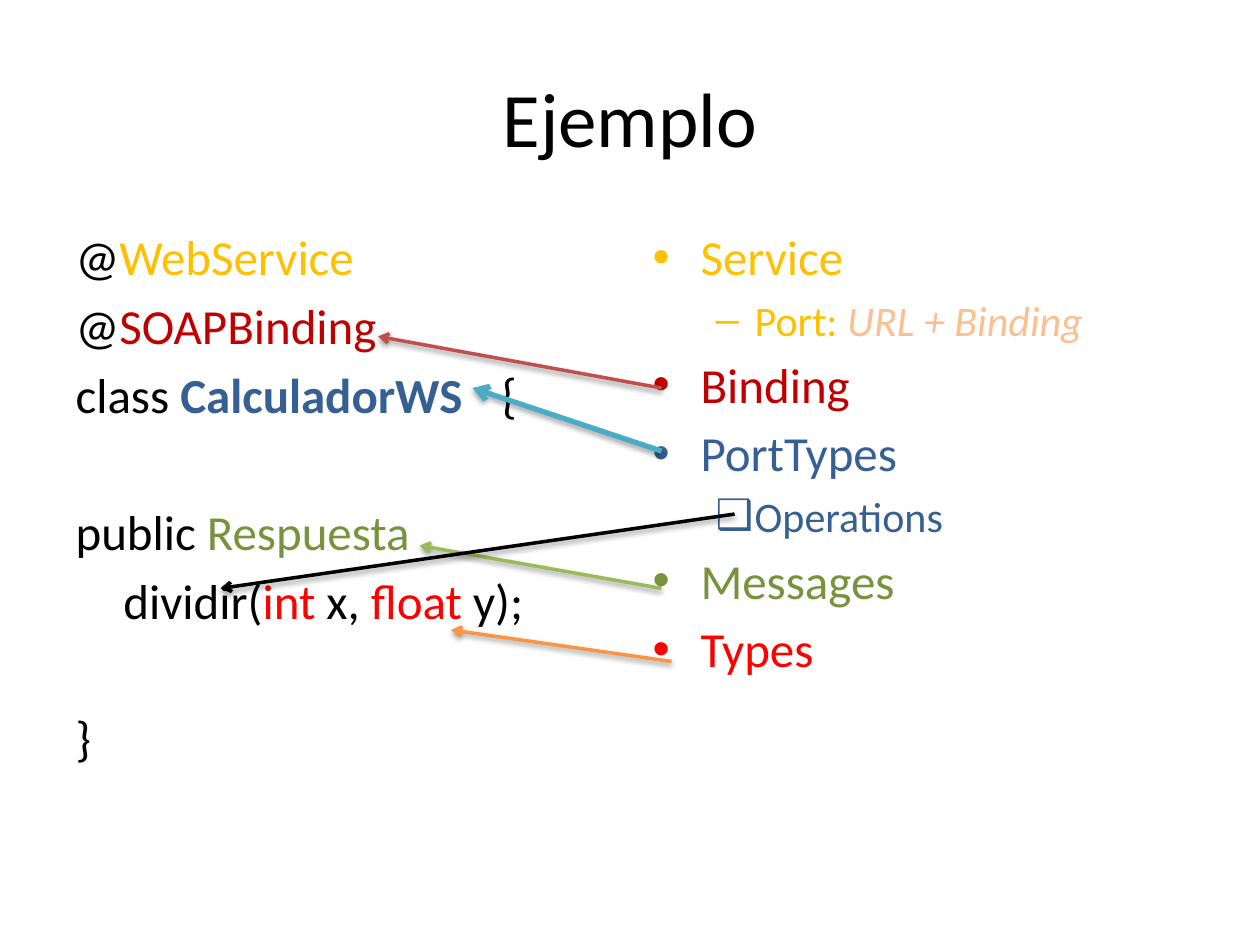
"""Build the slide that maps annotated code to the parts of a service description."""
from lxml import etree
from pptx import Presentation
from pptx.dml.color import RGBColor
from pptx.enum.shapes import MSO_CONNECTOR
from pptx.enum.text import MSO_ANCHOR, MSO_AUTO_SIZE, PP_ALIGN
from pptx.oxml import parse_xml
from pptx.oxml.ns import nsdecls, qn
from pptx.util import Inches, Pt

STRAIGHT = MSO_CONNECTOR.STRAIGHT
MIDDLE, TOP = MSO_ANCHOR.MIDDLE, MSO_ANCHOR.TOP
CENTER, LEFT = PP_ALIGN.CENTER, PP_ALIGN.LEFT
NO_AUTOFIT = MSO_AUTO_SIZE.NONE

BLACK = RGBColor(0x00, 0x00, 0x00)
GOLD = RGBColor(0xFF, 0xC0, 0x00)
PEACH = RGBColor(0xFA, 0xC0, 0x90)
CRIMSON = RGBColor(0xC0, 0x00, 0x00)
NAVY = RGBColor(0x37, 0x60, 0x92)
OLIVE = RGBColor(0x77, 0x93, 0x3C)
RED = RGBColor(0xFF, 0x00, 0x00)
ORANGE = RGBColor(0xF7, 0x96, 0x46)
GREEN = RGBColor(0x9B, 0xBB, 0x59)
AQUA = RGBColor(0x4B, 0xAC, 0xC6)
ROSE = RGBColor(0xC0, 0x50, 0x4D)


class MappingSlide:
    """Holds the text style and the slide, and adds its elements."""

    font = "Calibri"
    title_size = 44
    sizes = (28, 24)
    hanging = ((0.38, -0.38), (0.81, -0.31))
    skipped_line = 45

    def __init__(self, deck):
        self.slide = deck.slides.add_slide(deck.slide_layouts[3])

    def place(self, index, box, anchor):
        holder = self.slide.placeholders[index]
        holder.left, holder.top, holder.width, holder.height = map(Inches, box)
        frame = holder.text_frame
        frame.word_wrap = True
        frame.auto_size = NO_AUTOFIT
        frame.vertical_anchor = anchor
        return frame

    def add_run(self, paragraph, text, color, size, bold=False, italic=False):
        run = paragraph.add_run()
        run.text = text
        run.font.name = self.font
        run.font.size = Pt(size)
        run.font.color.rgb = color
        run.font.bold = bold
        run.font.italic = italic

    def title(self, text, box):
        paragraph = self.place(0, box, MIDDLE).paragraphs[0]
        paragraph.alignment = CENTER
        self.add_run(paragraph, text, BLACK, self.title_size)

    def body(self, index, box, lines):
        frame = self.place(index, box, TOP)
        for number, line in enumerate(lines):
            paragraph = frame.add_paragraph() if number else frame.paragraphs[0]
            self.fill_line(paragraph, **line)

    def fill_line(self, paragraph, runs, level=0, bullet=None, hang=True,
                  after_gap=False, tab=None):
        paragraph.level = level
        paragraph.alignment = LEFT
        if after_gap:
            paragraph.space_before = Pt(self.skipped_line)
        margin, indent = self.hanging[level]
        properties = paragraph._p.get_or_add_pPr()
        properties.set("marL", str(Inches(margin)))
        properties.set("indent", str(Inches(indent if hang else 0)))
        if bullet:
            etree.SubElement(properties, qn("a:buChar"), char=bullet)
        else:
            etree.SubElement(properties, qn("a:buNone"))
        if tab:
            stops = etree.SubElement(properties, qn("a:tabLst"))
            etree.SubElement(stops, qn("a:tab"), pos=str(Inches(tab)), algn="l")
        for text, color, *style in runs:
            self.add_run(paragraph, text, color, self.sizes[level], *style)

    def arrow(self, start, end, color, width=2, shadow_distance=20000, opacity=38):
        link = self.slide.shapes.add_connector(STRAIGHT, *map(Inches, start + end))
        link.line.width = Pt(width)
        link.line.color.rgb = color
        outline = link._element.spPr
        etree.SubElement(outline.find(qn("a:ln")), qn("a:tailEnd"), type="arrow")
        outline.append(parse_xml(
            f'<a:effectLst {nsdecls("a")}><a:outerShdw blurRad="40000" '
            f'dist="{shadow_distance}" dir="5400000" rotWithShape="0">'
            f'<a:srgbClr val="000000"><a:alpha val="{opacity * 1000}"/></a:srgbClr>'
            '</a:outerShdw></a:effectLst>'))


CODE = [
    dict(runs=[("@", BLACK), ("WebService", GOLD)]),
    dict(runs=[("@", BLACK), ("SOAPBinding", CRIMSON)]),
    dict(runs=[("class ", BLACK), ("CalculadorWS", NAVY, True), ("\t{", BLACK)], tab=3.4),
    dict(runs=[("public ", BLACK), ("Respuesta", OLIVE)], after_gap=True),
    dict(runs=[("dividir(", BLACK), ("int", RED), (" x, ", BLACK),
               ("float", RED), (" y);", BLACK)], hang=False),
    dict(runs=[("}", BLACK)], after_gap=True),
]
CONCEPTS = [
    dict(runs=[("Service", GOLD)], bullet="•"),
    dict(runs=[("Port: ", GOLD), ("URL + Binding", PEACH, False, True)],
         level=1, bullet="–"),
    dict(runs=[("Binding", CRIMSON)], bullet="•"),
    dict(runs=[("PortTypes", NAVY)], bullet="•"),
    dict(runs=[("Operations", NAVY)], level=1, bullet="❑"),
    dict(runs=[("Messages", OLIVE)], bullet="•"),
    dict(runs=[("Types", RED)], bullet="•"),
]

deck = Presentation()
deck.slide_width, deck.slide_height = Inches(10), Inches(7.5)

example = MappingSlide(deck)
example.title("Ejemplo", (0.5, 0.3, 9, 1.25))
example.body(1, (0.5, 1.75, 4.42, 4.95), CODE)
example.body(2, (5.08, 1.75, 4.42, 4.95), CONCEPTS)
example.arrow((5.33, 5.25), (3.58, 5), ORANGE)
example.arrow((5.25, 4.67), (3.33, 4.33), GREEN)
example.arrow((5.25, 3.58), (3.75, 3.08), AQUA, 3, 23000, 35)
example.arrow((5.83, 4.08), (1.75, 4.67), BLACK)
example.arrow((5.25, 3.08), (3, 2.67), ROSE)

deck.save("out.pptx")
